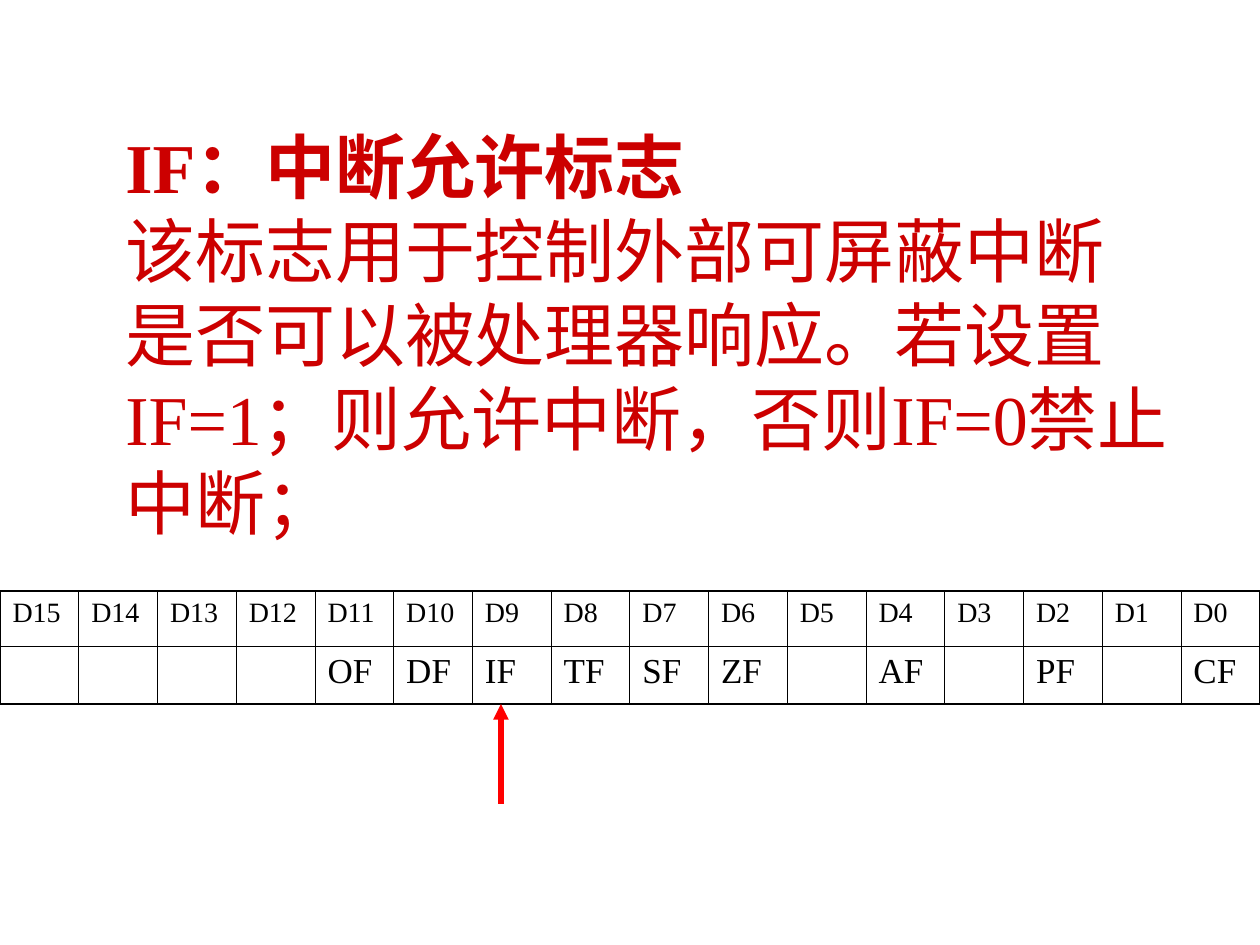
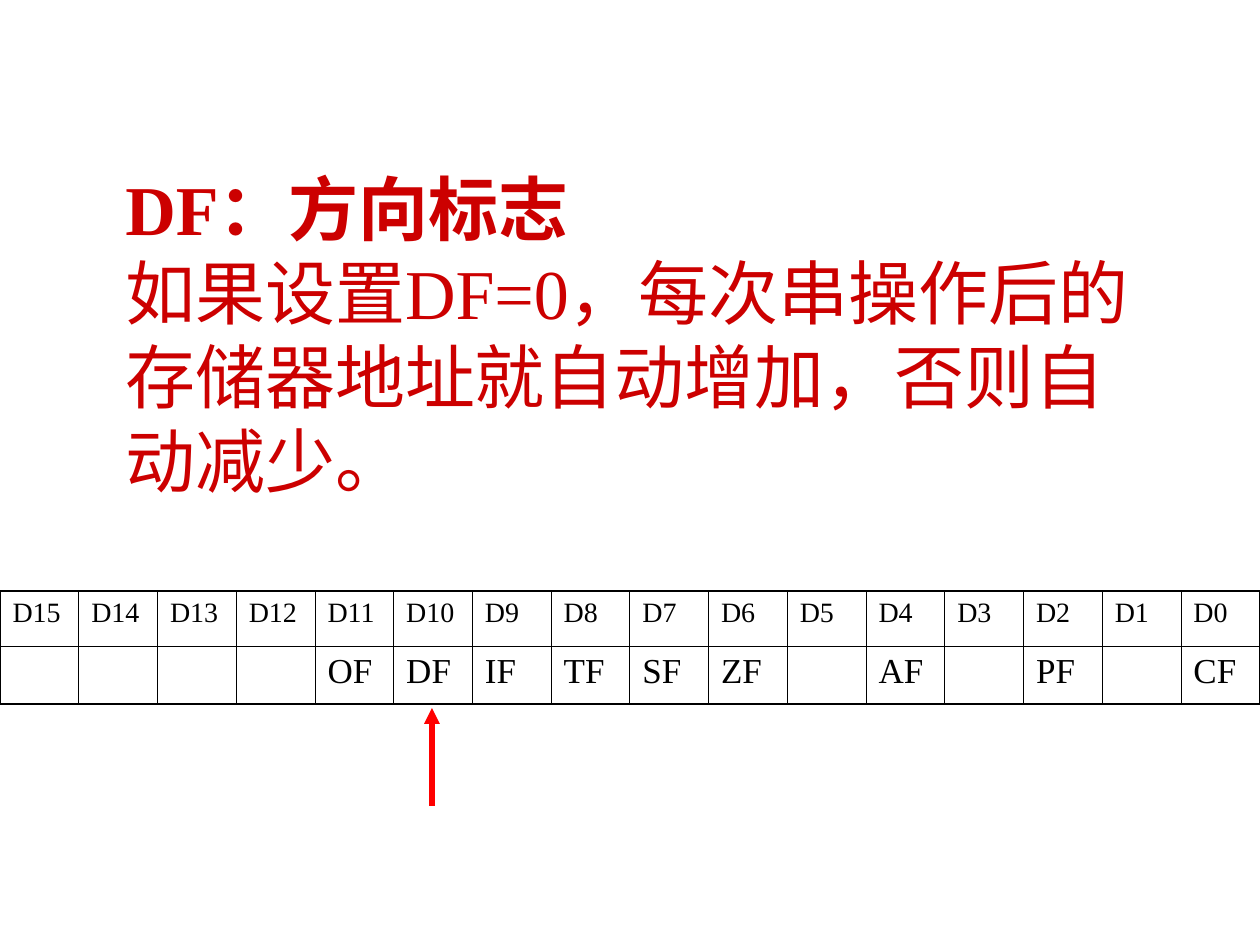
from dataclasses import dataclass

from lxml import etree
from pptx import Presentation
from pptx import util as u
from pptx.dml.color import RGBColor
from pptx.enum import shapes, text
from pptx.oxml import ns

PX_PER_INCH = 126
SLIDE_WIDTH, SLIDE_HEIGHT = 1260, 945
TITLE_BOX = (113, 255, 1071, 157)
TABLE_TOP = 591
ROW_HEIGHTS = (55, 58)
ROW_FONT_SIZES = (16, 20)
TITLE_SIZE = 40
OUTER_BORDER, INNER_BORDER = 1.08, 0.45

FONT = "Times New Roman"
RED = RGBColor(0xCC, 0x00, 0x00)
ARROW_RED = RGBColor(0xFF, 0x00, 0x00)
BLACK = RGBColor(0x00, 0x00, 0x00)
WHITE = RGBColor(0xFF, 0xFF, 0xFF)

BIT_COUNT = 16
FLAGS = {11: "OF", 10: "DF", 9: "IF", 8: "TF", 7: "SF", 6: "ZF", 4: "AF", 2: "PF", 0: "CF"}
BITS = range(BIT_COUNT - 1, -1, -1)
REGISTER_ROWS = ([f"D{bit}" for bit in BITS], [FLAGS.get(bit, "") for bit in BITS])


@dataclass(frozen=True)
class FlagSlide:
    heading: str
    description: str
    arrow_x: int
    arrow_bottom: int
    arrow_top: int


FLAG_SLIDES = (
    FlagSlide(
        "IF：中断允许标志",
        "该标志用于控制外部可屏蔽中断是否可以被处理器响应。若设置\nIF=1；则允许中断，否则IF=0禁止中断；",
        501, 804, 704,
    ),
    FlagSlide(
        "DF：方向标志",
        "如果设置DF=0，每次串操作后的存储器地址就自动增加，否则自动减少。",
        432, 806, 708,
    ),
)


def px(length: int) -> int:
    return round(length * u.Inches(1) / PX_PER_INCH)


def format_runs(paragraph, size: int, color: RGBColor) -> None:
    for run in paragraph.runs:
        run.font.name = FONT
        run.font.size = u.Pt(size)
        run.font.color.rgb = color
        run.font.bold = False


def add_title(slide, flag: FlagSlide) -> None:
    shape = slide.shapes.add_textbox(*map(px, TITLE_BOX))
    frame = shape.text_frame
    frame.word_wrap = True
    frame.vertical_anchor = text.MSO_ANCHOR.MIDDLE
    paragraph = frame.paragraphs[0]
    paragraph.text = f"{flag.heading}\n{flag.description}"
    format_runs(paragraph, TITLE_SIZE, RED)
    paragraph.runs[0].font.bold = True


def set_borders(cell, row: int, column: int) -> None:
    outer_sides = {
        "lnL": column == 0,
        "lnR": column == BIT_COUNT - 1,
        "lnT": row == 0,
        "lnB": row == len(REGISTER_ROWS) - 1,
    }
    properties = cell._tc.get_or_add_tcPr()
    for position, (side, is_outer) in enumerate(outer_sides.items()):
        width = u.Pt(OUTER_BORDER if is_outer else INNER_BORDER)
        line = etree.Element(ns.qn(f"a:{side}"), w=str(width))
        fill = etree.SubElement(line, ns.qn("a:solidFill"))
        etree.SubElement(fill, ns.qn("a:srgbClr"), val=str(BLACK))
        properties.insert(position, line)


def add_register(slide) -> None:
    table = slide.shapes.add_table(
        len(REGISTER_ROWS), BIT_COUNT, 0, px(TABLE_TOP), px(SLIDE_WIDTH), px(sum(ROW_HEIGHTS))
    ).table
    table.first_row = False
    table.horz_banding = False
    for column in table.columns:
        column.width = px(SLIDE_WIDTH) // BIT_COUNT
    for row, labels in enumerate(REGISTER_ROWS):
        table.rows[row].height = px(ROW_HEIGHTS[row])
        for column, label in enumerate(labels):
            cell = table.cell(row, column)
            cell.fill.solid()
            cell.fill.fore_color.rgb = WHITE
            set_borders(cell, row, column)
            if label:
                cell.text_frame.text = label
                format_runs(cell.text_frame.paragraphs[0], ROW_FONT_SIZES[row], BLACK)


def add_arrow(slide, flag: FlagSlide) -> None:
    x = px(flag.arrow_x)
    arrow = slide.shapes.add_connector(
        shapes.MSO_CONNECTOR.STRAIGHT, x, px(flag.arrow_bottom), x, px(flag.arrow_top)
    )
    arrow.line.color.rgb = ARROW_RED
    arrow.line.width = u.Pt(3)
    etree.SubElement(arrow.line._get_or_add_ln(), ns.qn("a:tailEnd"), type="triangle")
    etree.SubElement(arrow._element.spPr, ns.qn("a:effectLst"))


def main() -> None:
    presentation = Presentation()
    presentation.slide_width = px(SLIDE_WIDTH)
    presentation.slide_height = px(SLIDE_HEIGHT)
    for flag in FLAG_SLIDES:
        slide = presentation.slides.add_slide(presentation.slide_layouts[6])
        add_title(slide, flag)
        add_register(slide)
        add_arrow(slide, flag)
    presentation.save("out.pptx")


if __name__ == "__main__":
    main()
